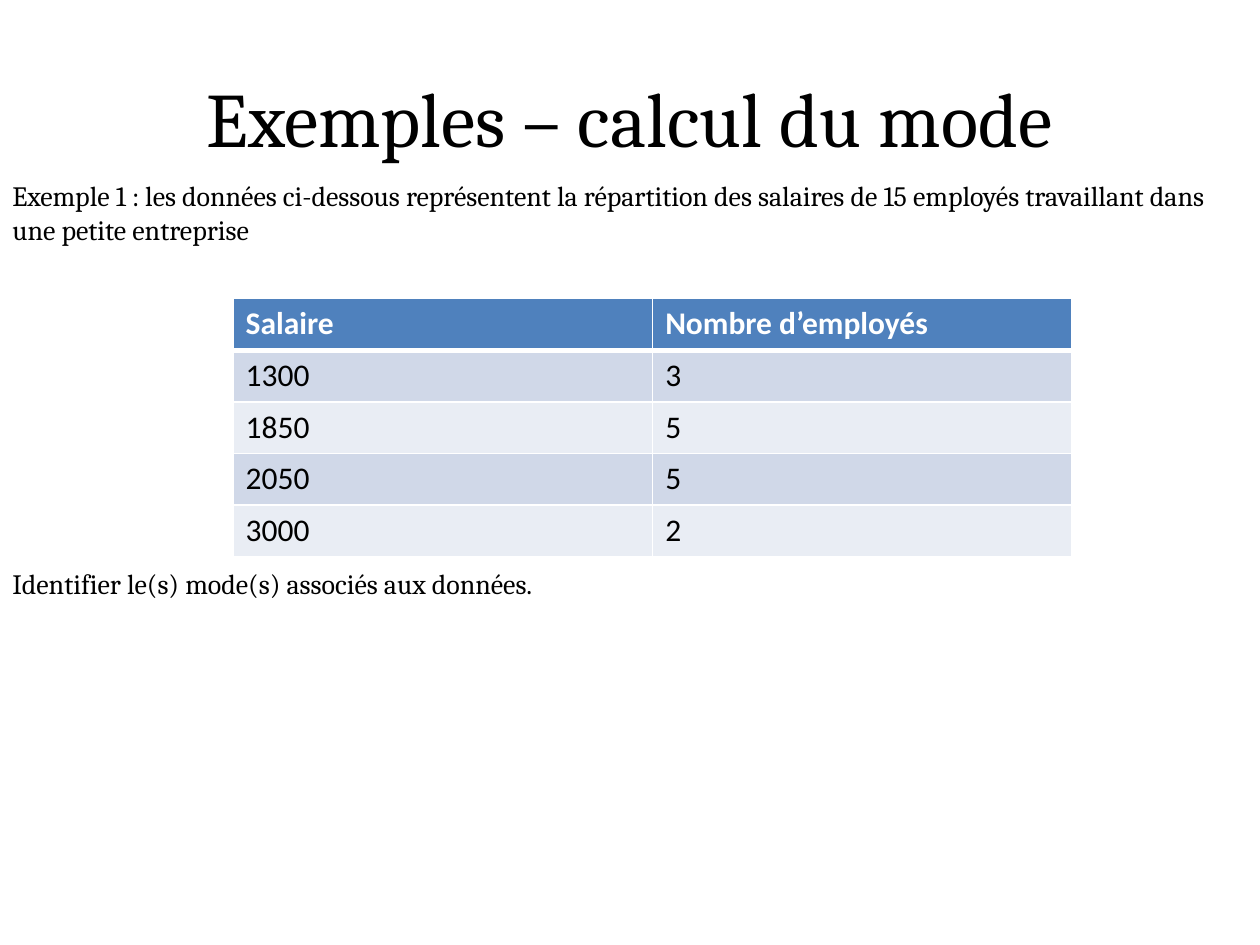
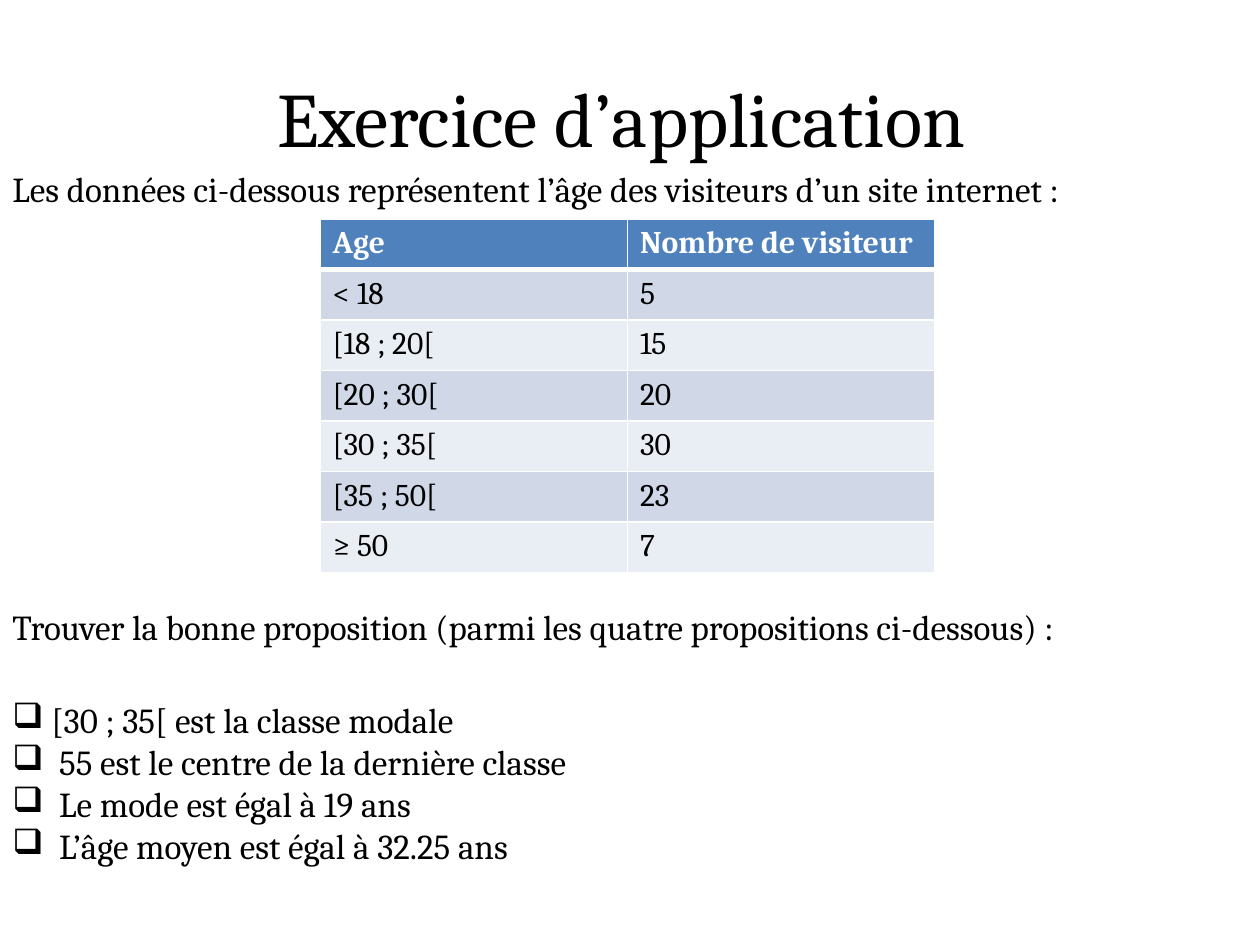
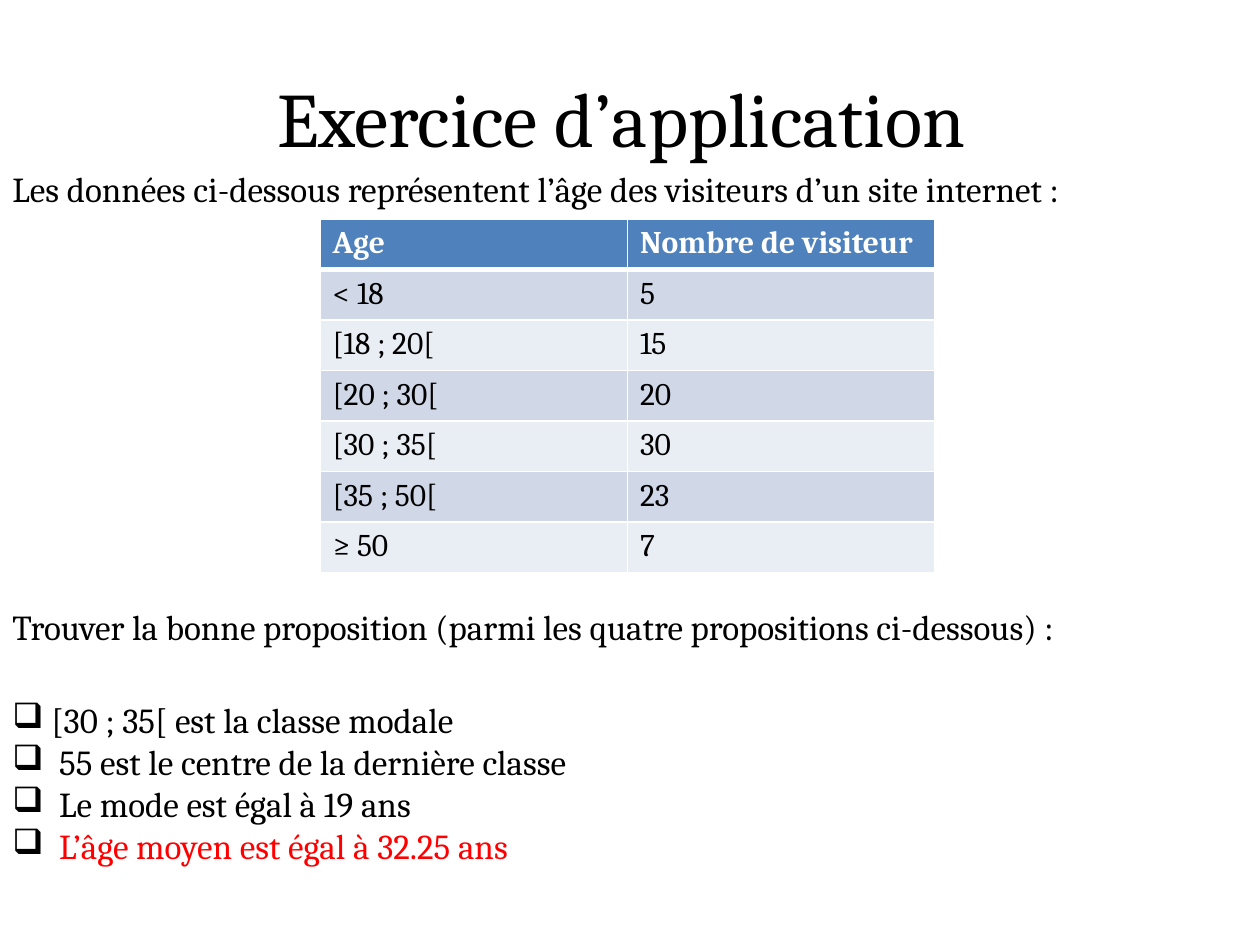
from dataclasses import dataclass

from lxml import etree
from pptx import Presentation
from pptx.dml.color import RGBColor
from pptx.enum.text import MSO_ANCHOR, PP_ALIGN
from pptx.oxml.ns import qn
from pptx.util import Inches, Pt

MIDDLE, CENTER = MSO_ANCHOR.MIDDLE, PP_ALIGN.CENTER


@dataclass(frozen=True)
class Theme:
    ink: str = "000000"
    white: str = "FFFFFF"
    answer: str = "FF0000"
    header: str = "4F81BD"
    bands: tuple = ("D0D8E8", "E9EDF4")
    serif: str = "Cambria"
    sans: str = "Calibri"
    title: int = 44
    question: int = 20
    cell: int = 18
    example: int = 16
    thin: int = 1
    thick: int = 3


THEME = Theme()


def write(frame, lines, size, font=THEME.serif, color=THEME.ink, bold=False):
    """Fill a text frame, one paragraph a line, and format its runs."""
    frame.word_wrap = True
    frame.text = "\n".join(lines)
    for paragraph in frame.paragraphs:
        for run in paragraph.runs:
            run.font.name, run.font.size, run.font.bold = font, Pt(size), bold
            run.font.color.rgb = RGBColor.from_string(color)
    return frame.paragraphs


def add_grid(slide, rows, left, top, column_width, row_height, font):
    """Add a banded table with white rules and a thicker rule under its header."""
    columns = len(rows[0])
    table = slide.shapes.add_table(
        len(rows), columns, Inches(left), Inches(top),
        Inches(column_width * columns), Inches(row_height * len(rows))).table
    for r, row in enumerate(rows):
        is_header = r == 0
        for c, value in enumerate(row):
            cell = table.cell(r, c)
            write(cell.text_frame, [value], THEME.cell, font,
                  THEME.white if is_header else THEME.ink, is_header)
            properties = cell._tc.get_or_add_tcPr()
            for side in ("lnL", "lnR", "lnT", "lnB"):
                under_header = (r, side) in ((0, "lnB"), (1, "lnT"))
                width = THEME.thick if under_header else THEME.thin
                line = etree.SubElement(properties, qn(f"a:{side}"), w=str(Pt(width)))
                paint = etree.SubElement(line, qn("a:solidFill"))
                etree.SubElement(paint, qn("a:srgbClr"), val=THEME.white)
            cell.fill.solid()
            cell.fill.fore_color.rgb = RGBColor.from_string(
                THEME.header if is_header else THEME.bands[(r - 1) % 2])


prs = Presentation()
prs.slide_width, prs.slide_height = Inches(10), Inches(7.5)
title_only = prs.slide_layouts[5]

# Titles shared by the three slides
slides = []
for heading in ("Exemples – calcul du mode", "Exercice d’application ", "Exercice d’application "):
    slide = prs.slides.add_slide(title_only)
    title = slide.shapes.title
    title.left, title.top = Inches(0.5), Inches(0.3)
    title.width, title.height = Inches(9), Inches(1.25)
    title.text_frame.vertical_anchor = MIDDLE
    write(title.text_frame, [heading], THEME.title)[0].alignment = CENTER
    slides.append(slide)
example_slide, *exercise_slides = slides

# Example: salaries, with the question below the table
example = example_slide.shapes.add_textbox(0, Inches(1.37), prs.slide_width, Inches(6.13))
statement, task = write(example.text_frame, [
    "Exemple 1 : les données ci-dessous représentent la répartition des salaires "
    "de 15 employés travaillant dans une petite entreprise",
    "Identifier le(s) mode(s) associés aux données.",
], THEME.example)
task.space_before = Pt(183)

salaries = [("Salaire", "Nombre d’employés"),
            ("1300", "3"), ("1850", "5"), ("2050", "5"), ("3000", "2")]
add_grid(example_slide, salaries, 1.85, 2.37, 3.33, 0.41, THEME.sans)

# Exercise: visitor ages, first as a question, then with its answer in red
ages = [("Age", "Nombre de visiteur"),
        ("< 18", "5"), ("[18 ; 20[", "15"), ("[20 ; 30[", "20"),
        ("[30 ; 35[", "30"), ("[35 ; 50[", "23"), ("≥ 50", "7")]
question = "Trouver la bonne proposition (parmi les quatre propositions ci-dessous) :"
choices = ["[30 ; 35[ est la classe modale",
           " 55 est le centre de la dernière classe",
           " Le mode est égal à 19 ans",
           " L’âge moyen est égal à 32.25 ans"]
hanging = Inches(0.31)

for slide, answer_color in zip(exercise_slides, (THEME.ink, THEME.answer)):
    intro = slide.shapes.add_textbox(0, Inches(1.28), Inches(9), Inches(0.45))
    write(intro.text_frame,
          ["Les données ci-dessous représentent l’âge des visiteurs d’un site internet :"],
          THEME.question)
    add_grid(slide, ages, 2.54, 1.74, 2.44, 0.39, THEME.serif)

    quiz = slide.shapes.add_textbox(0, Inches(4.76), Inches(9.25), Inches(2.19))
    _, *options = write(quiz.text_frame, [question, *choices], THEME.question)
    options[0].space_before = Pt(29)
    for option in options:
        properties = option._p.get_or_add_pPr()
        properties.set("marL", str(hanging))
        properties.set("indent", str(-hanging))
        bullet_color = etree.SubElement(properties, qn("a:buClr"))
        etree.SubElement(bullet_color, qn("a:srgbClr"), val=THEME.ink)
        etree.SubElement(properties, qn("a:buChar"), char="❑")
    options[-1].runs[0].font.color.rgb = RGBColor.from_string(answer_color)

prs.save("out.pptx")
